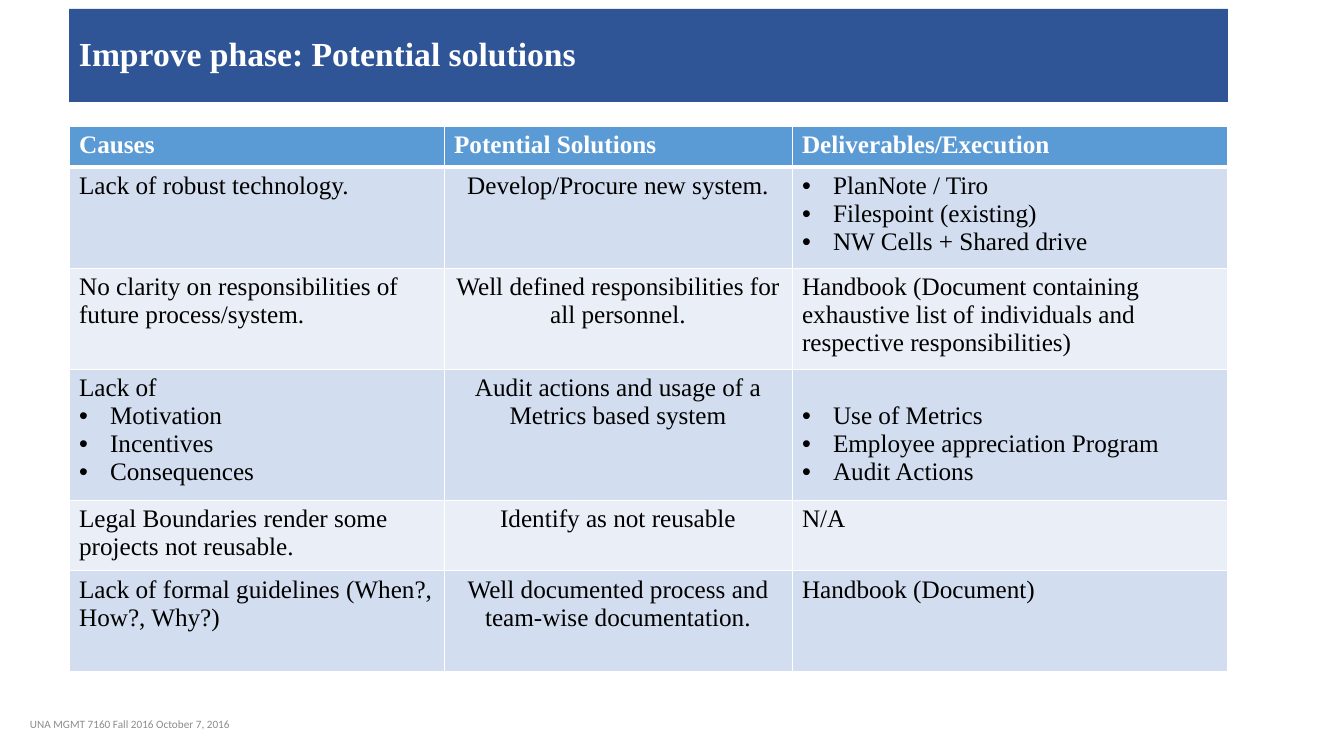
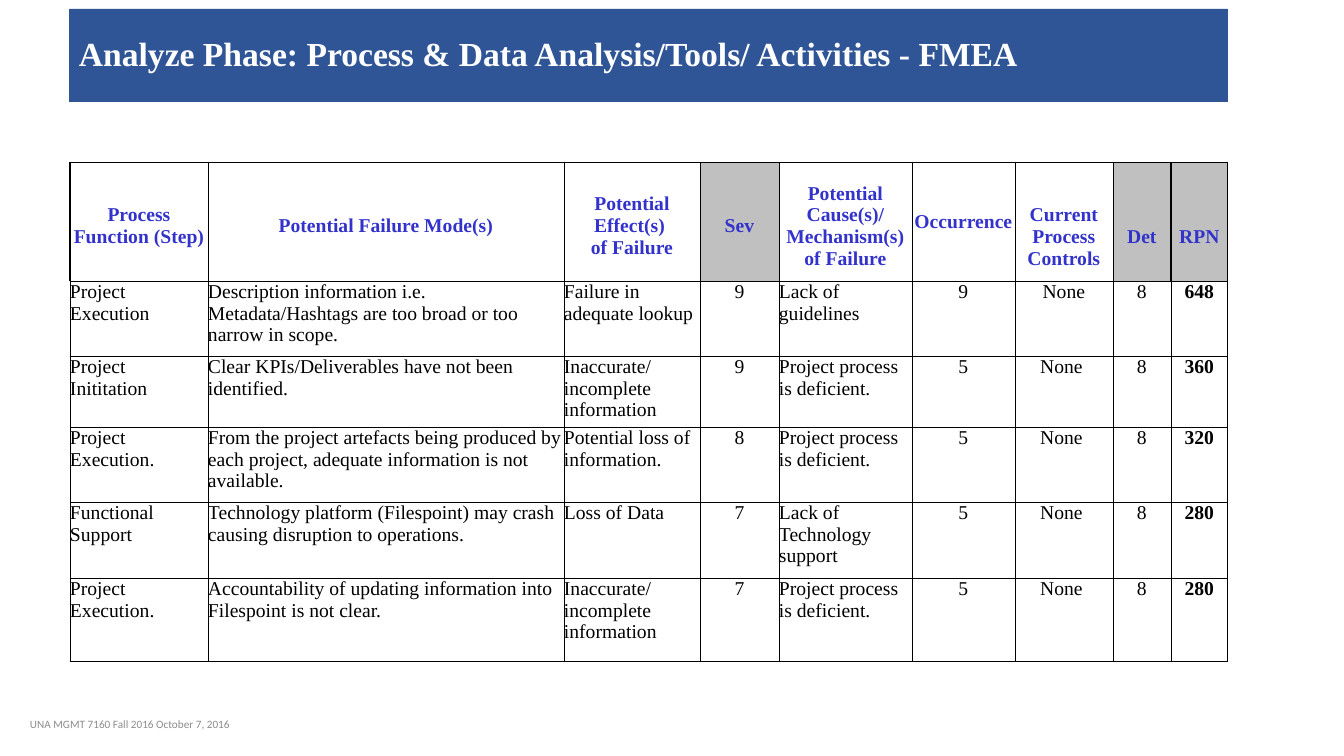
"""Build two process improvement slides: potential solutions and an FMEA table."""
from lxml import etree
from pptx import Presentation
from pptx import util as u
from pptx.dml import color
from pptx.enum import shapes, text
from pptx.oxml import ns

PX = 9072
FONT = "Times New Roman"
FOOTER = "UNA MGMT 7160 Fall 2016 October 7, 2016"
NAVY, BLUE, WHITE, BLACK = "2F5597", "5B9BD5", "FFFFFF", "000000"
PALE, PALER, VIOLET, GREY = "D2DEEF", "EAEFF7", "3333CC", "C0C0C0"
LEFT, CENTER = text.PP_ALIGN.LEFT, text.PP_ALIGN.CENTER
TOP, MIDDLE = text.MSO_ANCHOR.TOP, text.MSO_ANCHOR.MIDDLE
rgb = color.RGBColor.from_string


def write(tf, content, size, colour, font=FONT, bold=False, align=LEFT, spacing=None):
    """Write one paragraph per line; a line that starts with • is a bullet."""
    for i, line in enumerate(content.split("\n")):
        p = tf.paragraphs[0] if i == 0 else tf.add_paragraph()
        p.alignment = align
        if spacing:
            p.line_spacing = spacing
        if line.startswith("•"):
            pPr = p._p.get_or_add_pPr()
            pPr.set("marL", str(31 * PX))
            pPr.set("indent", str(-31 * PX))
            etree.SubElement(pPr, ns.qn("a:buFont")).set("typeface", "Arial")
            etree.SubElement(pPr, ns.qn("a:buChar")).set("char", "•")
            line = line[1:]
        r = p.add_run()
        r.text = line
        r.font.name, r.font.size, r.font.bold = font, u.Pt(size), bold
        r.font.color.rgb = rgb(colour)


def style(cell, fill, colour, **widths):
    """Fill a cell, or leave it clear, and draw its borders in points."""
    if fill:
        cell.fill.solid()
        cell.fill.fore_color.rgb = rgb(fill)
    else:
        cell.fill.background()
    tcPr = cell._tc.get_or_add_tcPr()
    for i, side in enumerate("LRTB"):
        ln = etree.Element(ns.qn("a:ln" + side), w=str(u.Pt(widths[side])))
        if widths[side]:
            solid = etree.SubElement(ln, ns.qn("a:solidFill"))
            etree.SubElement(solid, ns.qn("a:srgbClr")).set("val", colour)
        else:
            etree.SubElement(ln, ns.qn("a:noFill"))
        tcPr.insert(i, ln)


solutions = [
    ["Causes", "Potential Solutions", "Deliverables/Execution"],
    ["Lack of robust technology.", "Develop/Procure new system.",
     "•PlanNote / Tiro\n•Filespoint (existing)\n•NW Cells + Shared drive"],
    ["No clarity on responsibilities of future process/system.",
     "Well defined responsibilities for all personnel.",
     "Handbook (Document containing exhaustive list of individuals and respective responsibilities)"],
    ["Lack of\n•Motivation\n•Incentives\n•Consequences",
     "Audit actions and usage of a Metrics based system",
     "•Use of Metrics\n•Employee appreciation Program\n•Audit Actions"],
    ["Legal Boundaries render some projects not reusable.", "Identify as not reusable", "N/A"],
    ["Lack of formal guidelines (When?, How?, Why?)",
     "Well documented process and team-wise documentation.", "Handbook (Document)"],
]
fmea = [
    ["", "", "", "", "", "Occurrence", "", "", ""],
    ["Process Function (Step)", "Potential Failure Mode(s)", "Potential Effect(s) \nof Failure", "Sev",
     "Potential Cause(s)/ Mechanism(s) of Failure", "", "", "", ""],
    ["", "", "", "", "", "", "Current Process Controls", "Det", "RPN"],
    ["Project Execution",
     "Description information i.e. Metadata/Hashtags are too broad or too narrow in scope.",
     "Failure in adequate lookup", "9", "Lack of guidelines", "9", "None", "8", "648"],
    ["Project Inititation", "Clear KPIs/Deliverables have not been identified.",
     "Inaccurate/incomplete information", "9", "Project process is deficient.", "5", "None ", "8", "360"],
    ["Project Execution.",
     "From the project artefacts being produced by each project, adequate information is not available.",
     "Potential loss of information.", "8", "Project process is deficient.", "5", "None ", "8", "320"],
    ["Functional Support",
     "Technology platform (Filespoint) may crash causing disruption to operations.",
     "Loss of Data", "7", "Lack of Technology support", "5", "None ", "8", "280"],
    ["Project Execution.", "Accountability of updating information into Filespoint is not clear.",
     "Inaccurate/incomplete information", "7", "Project process is deficient.", "5", "None ", "8", "280"],
]
pages = [
    ("Improve phase: Potential solutions", 69, 126, solutions,
     [375, 348, 435], [41, 101, 101, 131, 70, 101]),
    ("Analyze Phase: Process & Data Analysis/Tools/ Activities - FMEA", 70, 162, fmea,
     [138, 356, 136, 79, 133, 103, 98, 58, 57], [9, 22, 88, 75, 71, 75, 76, 83]),
]

prs = Presentation()
prs.slide_width, prs.slide_height = 1344 * PX, 756 * PX
tables = []
for title, x, y, rows, widths, heights in pages:
    s = prs.slides.add_slide(prs.slide_layouts[6])
    band = s.shapes.add_shape(shapes.MSO_SHAPE.RECTANGLE, 69 * PX, 9 * PX, 1159 * PX, 93 * PX)
    band.shadow.inherit = False
    band.fill.solid()
    band.fill.fore_color.rgb = rgb(NAVY)
    band.line.fill.background()
    band.text_frame.vertical_anchor = MIDDLE
    write(band.text_frame, title, 24, WHITE, bold=True, spacing=0.9)

    footer = s.shapes.add_textbox(20 * PX, 704 * PX, 454 * PX, 40 * PX)
    footer.text_frame.word_wrap = True
    footer.text_frame.vertical_anchor = MIDDLE
    write(footer.text_frame, FOOTER, 8, "8C8C8C", font="Calibri")

    table = s.shapes.add_table(len(rows), len(widths), x * PX, y * PX,
                               sum(widths) * PX, sum(heights) * PX).table
    table.horz_banding = False
    for column, width in zip(table.columns, widths):
        column.width = width * PX
    for row, height in zip(table.rows, heights):
        row.height = height * PX
    tables.append(table)

for i, row in enumerate(solutions):
    for j, content in enumerate(row):
        cell = tables[0].cell(i, j)
        header = i == 0
        fill = BLUE if header else PALE if i % 2 else PALER
        style(cell, fill, WHITE, L=0.5, R=0.5, T=3 if i == 1 else 0.5, B=3 if header else 0.5)
        if (i, j) == (3, 2):
            cell.margin_top = 33 * PX
        write(cell.text_frame, content, 18, WHITE if header else BLACK, bold=header,
              align=CENTER if j == 1 and not header else LEFT)

merges = [(1, 2)] * 5 + [(0, 2)] + [(0, 1)] * 3
for j, (first, last) in enumerate(merges):
    tables[1].cell(first, j).merge(tables[1].cell(last, j))

for i, row in enumerate(fmea):
    for j, content in enumerate(row):
        cell = tables[1].cell(i, j)
        header = i < 3
        first, last = merges[j]
        cell.margin_left = cell.margin_right = cell.margin_top = cell.margin_bottom = 0
        cell.vertical_anchor = MIDDLE if header else TOP
        left = {0: 1, 8: 2}.get(j, 0.5) if header else 0.5
        right = 2 if header and j == 7 else 0.5
        style(cell, GREY if header and j in (3, 7, 8) else None, BLACK, L=left, R=right,
              T=0 if i in (1, 2) else 0.5,
              B=0 if i < 2 and (first, last) != (0, 2) else 0.5)
        if content:
            write(cell.text_frame, content, 14, VIOLET if header else BLACK, bold=header or j == 8,
                  align=CENTER if header or j in (3, 5, 6, 7, 8) else LEFT)
        else:
            etree.SubElement(cell.text_frame.paragraphs[0]._p, ns.qn("a:endParaRPr"), sz="400")

prs.save("out.pptx")
